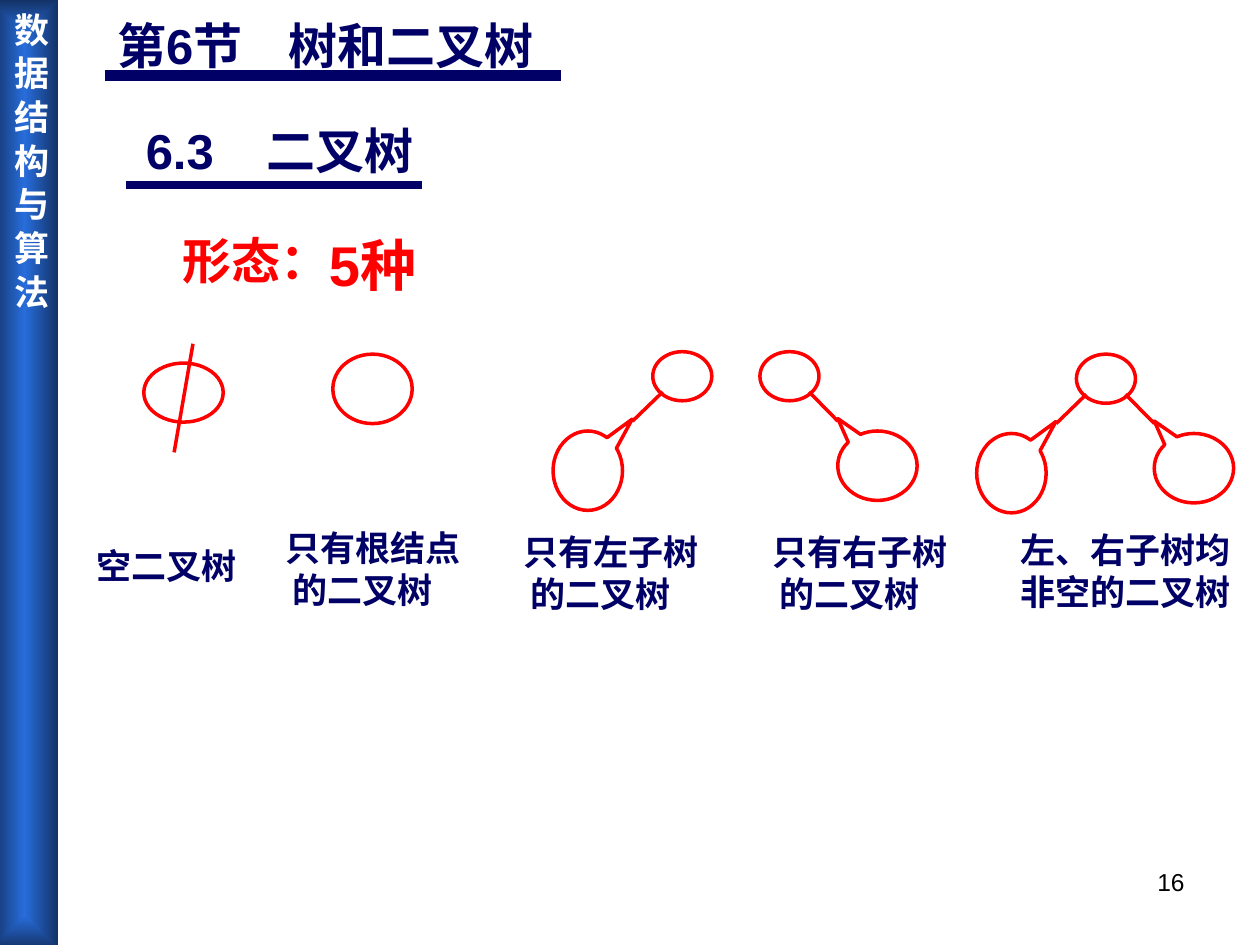
from lxml import etree
from pptx import Presentation
from pptx.dml.color import RGBColor
from pptx.enum.shapes import MSO_CONNECTOR, MSO_SHAPE
from pptx.enum.text import MSO_ANCHOR, MSO_AUTO_SIZE, PP_ALIGN
from pptx.oxml.ns import qn
from pptx.util import Cm, Pt

NAVY = RGBColor(0x00, 0x00, 0x66)
RED = RGBColor(0xFF, 0x00, 0x00)
BLACK = RGBColor(0x00, 0x00, 0x00)
WHITE = RGBColor(0xFF, 0xFF, 0xFF)
BAR_CENTRE = RGBColor(0x28, 0x6D, 0xDC)
BAR_EDGE = RGBColor(0x13, 0x32, 0x66)

LEFT, CENTER, RIGHT = PP_ALIGN.LEFT, PP_ALIGN.CENTER, PP_ALIGN.RIGHT
TOP = MSO_ANCHOR.TOP
NO_AUTOFIT = MSO_AUTO_SIZE.NONE
STRAIGHT = MSO_CONNECTOR.STRAIGHT
OVAL, RECTANGLE = MSO_SHAPE.OVAL, MSO_SHAPE.RECTANGLE
CALLOUT = MSO_SHAPE.OVAL_CALLOUT

ROOT_SIZE = (1.19, 0.99)
LEFT_BRANCH = ((0.2, 0.81), (-0.41, 1.4), (-2.01, 1.6), (1.4, 1.6), (0.64, -0.65))
RIGHT_BRANCH = ((0.99, 0.81), (1.57, 1.4), (1.57, 1.6), (1.6, 1.4), (0.5, -0.68))

LABELS = [
    (1.7, 10.85, 3.7, ["空二叉树"]),
    (5.51, 10.49, 4.2, ["只有根结点", "的二叉树"]),
    (10.31, 10.57, 4.2, ["只有左子树", "的二叉树"]),
    (15.32, 10.57, 4.2, ["只有右子树", "的二叉树"]),
    (20.32, 10.52, 4.9, ["左、右子树均", "非空的二叉树"]),
]
LABEL_INDENT = 0.14


def place(shape, left, top, width, height):
    shape.left, shape.top = Cm(left), Cm(top)
    shape.width, shape.height = Cm(width), Cm(height)


def write(paragraph, text, size, color, bold=True, align=LEFT, font="Arial"):
    paragraph.alignment = align
    run = paragraph.add_run()
    run.text = text
    run.font.name = font
    run.font.size = Pt(size)
    run.font.bold = bold
    run.font.color.rgb = color
    return run


def add_tab_stop(paragraph, position):
    stops = etree.SubElement(paragraph._p.get_or_add_pPr(), qn("a:tabLst"))
    etree.SubElement(stops, qn("a:tab"), pos=str(Cm(position)), algn="l")


def add_text(slide, box, text, size, color, bold=True, align=LEFT, tab=None):
    frame = slide.shapes.add_textbox(*map(Cm, box)).text_frame
    frame.word_wrap = True
    if tab:
        add_tab_stop(frame.paragraphs[0], tab)
    write(frame.paragraphs[0], text, size, color, bold, align)


def add_title(slide):
    title = slide.shapes.title
    place(title, 2.11, 0.18, 9.4, 2.64)
    frame = title.text_frame
    frame.vertical_anchor = TOP
    frame.auto_size = NO_AUTOFIT
    add_tab_stop(frame.paragraphs[0], 3.45)
    write(frame.paragraphs[0], "第6节\t树和二叉树", 28, NAVY)


def add_label(slide, left, top, width, lines):
    frame = slide.shapes.add_textbox(Cm(left), Cm(top), Cm(width), Cm(1.96)).text_frame
    frame.word_wrap = True
    for index, line in enumerate(lines):
        paragraph = frame.add_paragraph() if index else frame.paragraphs[0]
        if index and len(line) < len(lines[0]):
            paragraph._p.get_or_add_pPr().set("marL", str(Cm(LABEL_INDENT)))
        write(paragraph, line, 20, NAVY)


def add_line(slide, start, end, color=RED, width=2):
    line = slide.shapes.add_connector(STRAIGHT, *map(Cm, (*start, *end)))
    line.line.color.rgb = color
    line.line.width = Pt(width)
    etree.SubElement(line._element.spPr, qn("a:effectLst"))


def add_outline(slide, kind, left, top, width, height):
    outline = slide.shapes.add_shape(kind, *map(Cm, (left, top, width, height)))
    outline.shadow.inherit = False
    outline.fill.background()
    outline.line.color.rgb = RED
    outline.line.width = Pt(2)
    return outline


def add_tree(slide, left, top, branches):
    add_outline(slide, OVAL, left, top, *ROOT_SIZE)
    for branch in branches:
        start, end, corner, size, pointer = branch
        edge_start, edge_end, subtree_at = (
            (left + dx, top + dy) for dx, dy in (start, end, corner)
        )
        add_line(slide, edge_start, edge_end)
        subtree = add_outline(slide, CALLOUT, *subtree_at, *size)
        subtree.adjustments[0], subtree.adjustments[1] = pointer
        if branch is RIGHT_BRANCH:
            subtree._element.spPr.xfrm.set("flipH", "1")


def add_sidebar(slide):
    bar = slide.shapes.add_shape(RECTANGLE, Cm(-0.18), Cm(0), Cm(1.35), Cm(19.13))
    bar.shadow.inherit = False
    bar.line.fill.background()
    bar.fill.gradient()
    for stop, color in zip(bar.fill.gradient_stops, (BAR_CENTRE, BAR_EDGE)):
        stop.color.rgb = color
    gradient = bar._element.spPr.find(qn("a:gradFill"))
    gradient.remove(gradient.find(qn("a:lin")))
    shade = etree.SubElement(gradient, qn("a:path"), path="rect")
    etree.SubElement(
        shade, qn("a:fillToRect"), dict.fromkeys("ltrb", "50000")
    )
    frame = bar.text_frame
    frame.margin_left = frame.margin_right = Cm(0.13)
    frame.margin_top = frame.margin_bottom = Cm(0.25)
    frame.vertical_anchor = TOP
    frame._txBody.bodyPr.set("vert", "eaVert")
    course = write(frame.paragraphs[0], "数 据 结 构 与 算 法", 20, WHITE,
                   align=CENTER, font="Noto Sans CJK SC")
    etree.SubElement(course._r.rPr, qn("a:ea"), typeface="Noto Sans CJK SC")


def main():
    presentation = Presentation()
    presentation.slide_width, presentation.slide_height = Cm(25.4), Cm(19.05)
    slide = presentation.slides.add_slide(presentation.slide_layouts[5])

    add_sidebar(slide)
    add_line(slide, (2.11, 1.52), (11.3, 1.52), NAVY, 6)
    add_title(slide)
    add_text(slide, (2.69, 2.31, 6, 1.45), "6.3\t二叉树", 28, NAVY, tab=2.43)
    add_line(slide, (2.54, 3.73), (8.51, 3.73), NAVY, 4.25)
    add_text(slide, (3.23, 4.52, 3.86, 1.45), "形态：", 28, RED, align=CENTER)
    add_text(slide, (6.38, 4.52, 2.8, 1.63), "5种", 32, RED)

    add_outline(slide, OVAL, 2.9, 7.32, 1.6, 1.19)
    add_line(slide, (3.89, 6.93), (3.51, 9.12))
    add_outline(slide, OVAL, 6.71, 7.14, 1.6, 1.4)
    add_tree(slide, 13.16, 7.09, [LEFT_BRANCH])
    add_tree(slide, 15.32, 7.09, [RIGHT_BRANCH])
    add_tree(slide, 21.7, 7.14, [LEFT_BRANCH, RIGHT_BRANCH])
    for label in LABELS:
        add_label(slide, *label)

    add_text(slide, (18.21, 17.35, 5.92, 1.32), "16", 14, BLACK, False, RIGHT)
    presentation.save("out.pptx")


if __name__ == "__main__":
    main()
